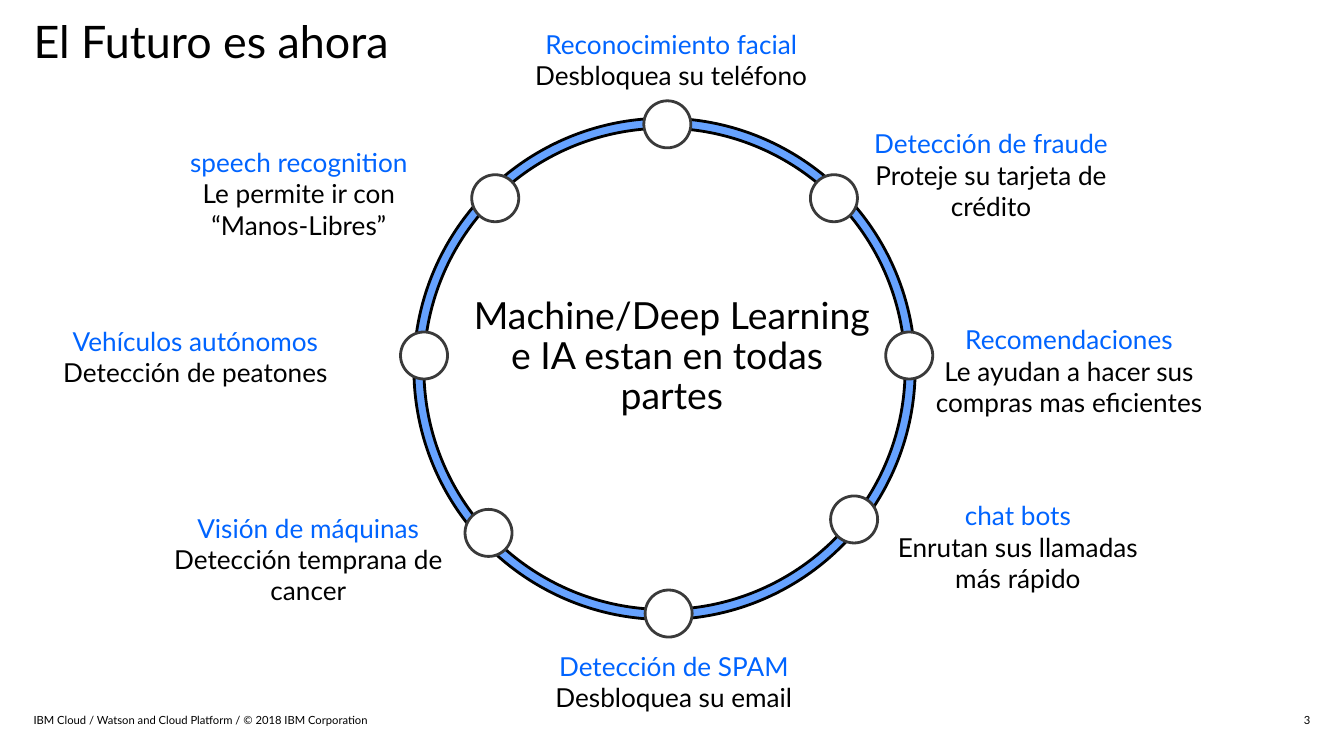
from pptx import Presentation
from pptx.dml.color import RGBColor
from pptx.enum import shapes, text
from pptx.util import Inches, Pt

BLACK, BLUE, SKY, GREY, WHITE = "000000", "0064FF", "66A2FF", "3A3A3A", "FFFFFF"
LEFT, CENTER, RIGHT = text.PP_ALIGN.LEFT, text.PP_ALIGN.CENTER, text.PP_ALIGN.RIGHT
OVAL, DONUT = shapes.MSO_SHAPE.OVAL, shapes.MSO_SHAPE.DONUT


def write(frame, lines, size, align=LEFT, margin=0, anchor=text.MSO_ANCHOR.TOP, spacing=1.0):
    """Fill a text frame with one paragraph per (wording, colour) pair."""
    frame.word_wrap = True
    frame.auto_size = text.MSO_AUTO_SIZE.NONE
    frame.vertical_anchor = anchor
    frame.margin_left = frame.margin_right = Inches(margin)
    frame.margin_top = frame.margin_bottom = Inches(margin / 2)
    for i, (wording, colour) in enumerate(lines):
        paragraph = frame.paragraphs[0] if i == 0 else frame.add_paragraph()
        paragraph.text = wording
        paragraph.alignment = align
        paragraph.line_spacing = spacing
        paragraph.font.name = "Lato"
        paragraph.font.size = Pt(size)
        paragraph.font.color.rgb = RGBColor.from_string(colour)


def add_round(kind, left, top, size, fill, line):
    shape = slide.shapes.add_shape(kind, Inches(left), Inches(top), Inches(size), Inches(size))
    shape.shadow.inherit = False
    shape.fill.solid()
    shape.fill.fore_color.rgb = RGBColor.from_string(fill)
    shape.line.color.rgb = RGBColor.from_string(line)
    shape.line.width = Pt(1.5)
    return shape


prs = Presentation()
prs.slide_width = Inches(10)
prs.slide_height = Inches(10 * 9 / 16)
slide = prs.slides.add_slide(prs.slide_layouts[5])

# Message in the middle of the ring
message = slide.shapes.title
message.left, message.top = Inches(2.96), Inches(2.21)
message.width, message.height = Inches(4.08), Inches(1.05)
write(message.text_frame, [("Machine/Deep Learning\ve IA estan en todas \vpartes", BLACK)],
      20, CENTER, spacing=0.9)

# Ring with a node for each use
ring = add_round(DONUT, 3.08, 0.88, 3.73, SKY, BLACK)
ring.adjustments[0] = 0.02

# Node left and top; label left, top and height; heading; detail
uses = [
    (4.79, 0.75, 3.83, 0.16, 0.57, "Reconocimiento facial", "Desbloquea su teléfono"),
    (6.03, 1.30, 6.21, 0.90, 0.81, "Detección de fraude", "Proteje su tarjeta de crédito"),
    (6.59, 2.47, 6.79, 2.36, 0.81, "Recomendaciones",
     "Le ayudan a hacer sus compras mas eficientes"),
    (6.18, 3.69, 6.41, 3.67, 0.81, "chat bots", "Enrutan sus llamadas más rápido"),
    (4.80, 4.39, 3.85, 4.79, 0.57, "Detección de SPAM", "Desbloquea su email"),
    (3.46, 3.79, 1.13, 3.76, 0.81, "Visión de máquinas", "Detección temprana de cancer"),
    (2.98, 2.47, 0.29, 2.37, 0.57, "Vehículos autónomos", "Detección de peatones"),
    (3.51, 1.30, 1.06, 1.04, 0.81, "speech recognition", "Le permite ir con “Manos-Libres”"),
]
for node_left, node_top, left, top, height, heading, detail in uses:
    add_round(OVAL, node_left, node_top, 0.35, WHITE, GREY)
    label = slide.shapes.add_textbox(Inches(left), Inches(top), Inches(2.33), Inches(height))
    write(label.text_frame, [(heading, BLUE), (detail, BLACK)], 14, CENTER, margin=0.1)

# Slide heading and footer
heading = slide.shapes.add_textbox(Inches(0.25), Inches(0.15), Inches(8.57), Inches(0.39))
write(heading.text_frame, [("El Futuro es ahora", BLACK)], 24, spacing=0.9)

footer = [
    (0.25, 7, LEFT, "IBM Cloud / Watson and Cloud Platform / © 2018 IBM Corporation"),
    (7.5, 2.25, RIGHT, "3"),
]
for left, width, align, wording in footer:
    note = slide.shapes.add_textbox(Inches(left), Inches(5.28), Inches(width), Inches(0.15))
    write(note.text_frame, [(wording, BLACK)], 6, align, anchor=text.MSO_ANCHOR.MIDDLE)

prs.save("out.pptx")
